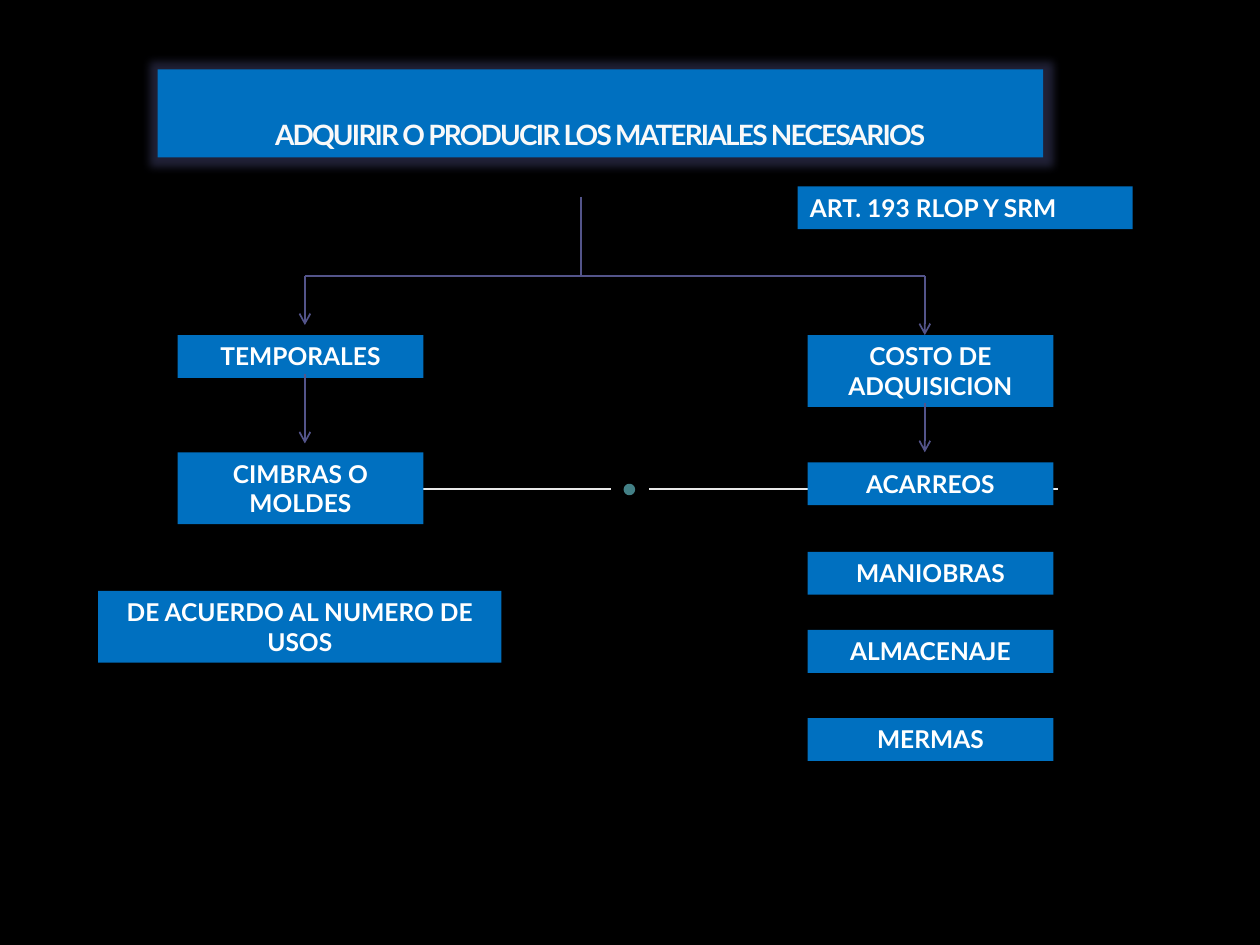
import dataclasses

import lxml.etree
import pptx
import pptx.dml.color
import pptx.enum.shapes
import pptx.enum.text
import pptx.oxml
import pptx.oxml.ns
import pptx.util

Inches = pptx.util.Inches
Pt = pptx.util.Pt
Align = pptx.enum.text.PP_ALIGN
qn = pptx.oxml.ns.qn


@dataclasses.dataclass(frozen=True)
class Theme:
    font: str = "Lato"
    background: str = "000000"
    box: str = "0070C0"
    text: str = "FFFFFF"
    title_text: str = "F9F9F9"
    arrow: str = "53548A"
    rule: str = "E9E9E9"
    dot: str = "438086"
    title_size: int = 16
    box_size: int = 14


def rgb(color):
    return pptx.dml.color.RGBColor.from_string(color)


class Diagram:
    def __init__(self, page, theme):
        self.page = page
        self.theme = theme
        page.background.fill.solid()
        page.background.fill.fore_color.rgb = rgb(theme.background)

    def paint(self, shape, color):
        shape.fill.solid()
        shape.fill.fore_color.rgb = rgb(color)
        shape.line.fill.background()

    def add_text(self, frame, text, size, color, align):
        frame.word_wrap = True
        para = frame.paragraphs[0]
        para.alignment = align
        span = para.add_run()
        span.text = text
        span.font.name = self.theme.font
        span.font.size = Pt(size)
        span.font.bold = True
        span.font.color.rgb = rgb(color)
        return span

    def title(self, text, left, top, width, height):
        box = self.page.shapes.title
        box.left, box.top = Inches(left), Inches(top)
        box.width, box.height = Inches(width), Inches(height)
        self.paint(box, self.theme.box)
        effects = lxml.etree.SubElement(box.element.spPr, qn("a:effectLst"))
        glow = lxml.etree.SubElement(effects, qn("a:glow"), rad=str(Inches(0.14)))
        color = lxml.etree.SubElement(glow, qn("a:srgbClr"), val=self.theme.arrow)
        lxml.etree.SubElement(color, qn("a:alpha"), val="40000")
        frame = box.text_frame
        frame.auto_size = pptx.enum.text.MSO_AUTO_SIZE.NONE
        frame.vertical_anchor = pptx.enum.text.MSO_ANCHOR.BOTTOM
        span = self.add_text(frame, text, self.theme.title_size,
                             self.theme.title_text, Align.CENTER)
        span.font._element.set("spc", "-100")

    def box(self, text, left, top, width=1.95, lines=1, align=Align.CENTER):
        height = 0.34 if lines == 1 else 0.57
        box = self.page.shapes.add_textbox(
            Inches(left), Inches(top), Inches(width), Inches(height))
        self.paint(box, self.theme.box)
        box.text_frame.auto_size = pptx.enum.text.MSO_AUTO_SIZE.SHAPE_TO_FIT_TEXT
        self.add_text(box.text_frame, text, self.theme.box_size, self.theme.text, align)

    def line(self, start, end, color, weight, arrow=False):
        line = self.page.shapes.add_connector(
            pptx.enum.shapes.MSO_CONNECTOR.STRAIGHT,
            *(Inches(value) for value in start + end))
        line.line.color.rgb = rgb(color)
        line.line.width = Pt(weight)
        properties = line._element.spPr
        if arrow:
            lxml.etree.SubElement(properties.find(qn("a:ln")), qn("a:tailEnd"), type="arrow")
        lxml.etree.SubElement(properties, qn("a:effectLst"))

    def dot(self, left, top, size):
        dot = self.page.shapes.add_shape(
            pptx.enum.shapes.MSO_SHAPE.OVAL,
            Inches(left), Inches(top), Inches(size), Inches(size))
        dot.shadow.inherit = False
        self.paint(dot, self.theme.dot)
        dot.line.color.rgb = rgb(self.theme.dot)
        dot.line.width = Pt(3)


def main():
    deck = pptx.Presentation()
    deck.slide_width, deck.slide_height = Inches(10), Inches(7.5)
    theme = Theme()
    diagram = Diagram(deck.slides.add_slide(deck.slide_layouts[5]), theme)

    for start, end in ((1.6, 4.85), (5.15, 8.4)):
        diagram.line((start, 3.88), (end, 3.88), theme.rule, 0.75)
    diagram.dot(4.97, 3.86, 0.05)

    diagram.title("ADQUIRIR O PRODUCIR LOS MATERIALES NECESARIOS", 1.25, 0.55, 7.03, 0.7)
    diagram.box("ART. 193 RLOP Y SRM", 6.33, 1.48, width=2.66, align=Align.LEFT)

    left_column, right_column = 1.41, 6.41
    diagram.box("TEMPORALES", left_column, 2.66)
    diagram.box("CIMBRAS O MOLDES", left_column, 3.59, lines=2)
    diagram.box("DE ACUERDO AL NUMERO DE USOS", 0.78, 4.69, width=3.2, lines=2)

    diagram.box("COSTO DE ADQUISICION", right_column, 2.66, lines=2)
    for text, top in (("ACARREOS", 3.67), ("MANIOBRAS", 4.38),
                      ("ALMACENAJE", 5), ("MERMAS", 5.7)):
        diagram.box(text, right_column, top)

    trunk, fork, left_branch, right_branch = 4.61, 2.19, 2.42, 7.34
    diagram.line((trunk, 1.56), (trunk, fork), theme.arrow, 1)
    for branch in (left_branch, right_branch):
        diagram.line((trunk, fork), (branch, fork), theme.arrow, 1)
    for branch, top, bottom in (
        (left_branch, fork, 2.58), (right_branch, fork, 2.66),
        (left_branch, 2.97, 3.52), (right_branch, 3.2, 3.59),
    ):
        diagram.line((branch, top), (branch, bottom), theme.arrow, 1, arrow=True)

    deck.save("out.pptx")


if __name__ == "__main__":
    main()
